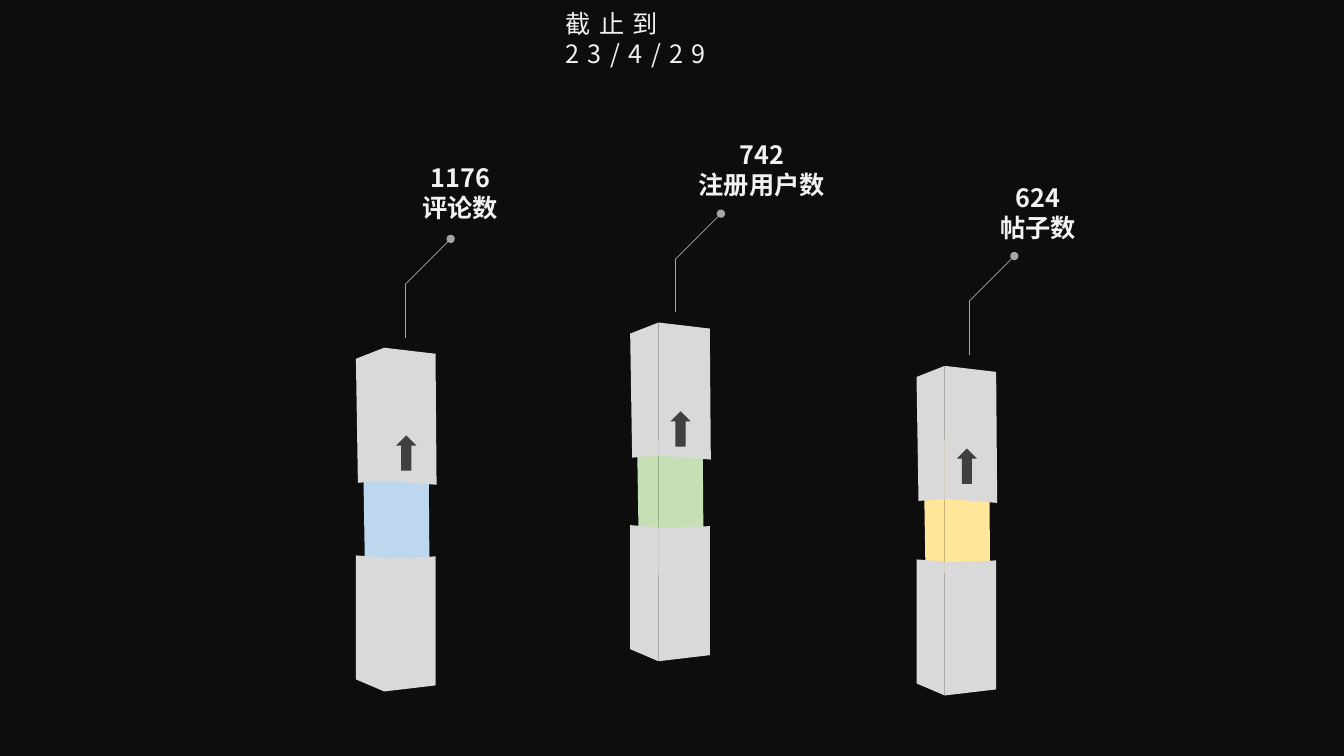
from lxml import etree
from pptx import Presentation
from pptx.dml.color import RGBColor
from pptx.enum.shapes import MSO_CONNECTOR, MSO_SHAPE
from pptx.enum.text import MSO_ANCHOR, MSO_AUTO_SIZE, PP_ALIGN
from pptx.oxml.ns import qn
from pptx.util import Inches, Pt

STRAIGHT = MSO_CONNECTOR.STRAIGHT
UP_ARROW = MSO_SHAPE.UP_ARROW
TOP = MSO_ANCHOR.TOP
NO_AUTOFIT = MSO_AUTO_SIZE.NONE
LEFT, CENTER = PP_ALIGN.LEFT, PP_ALIGN.CENTER

FONT = "Noto Sans CJK SC"
COLORS = {
    "background": "0D0D0D",
    "text": "F2F2F2",
    "block": "D9D9D9",
    "arrow": "404040",
    "leader": "A5A5A5",
    "blue": "BDD7EE",
    "green": "C5E0B4",
    "yellow": "FFE699",
}

CORE = [
    [(-0.21, 0.11), (0, 0), (0, 1.33), (-0.19, 1.34)],
    [(0, 0), (0.44, 0.06), (0.45, 1.36), (0, 1.33)],
]
CAP = [
    [(-0.28, 0.11), (0, 0), (0, 1.32), (-0.26, 1.34)],
    [(0, 0), (0.51, 0.06), (0.52, 1.36), (0, 1.32)],
]
BASE = [
    [(-0.28, 1.23), (0, 1.35), (0, 0.02), (-0.28, 0)],
    [(0, 1.35), (0.51, 1.29), (0.51, 0.01), (0, 0.03)],
]

PILLARS = [
    dict(value="1176", name="评论数", color="blue", edge=3.81, cap=3.45, core=4.32,
         base=5.51, arrow=4.32, dot=(4.47, 2.37), label=(3.6, 1.56)),
    dict(value="742", name="注册用户数", color="green", edge=6.53, cap=3.2, core=4.37,
         base=5.21, arrow=4.08, dot=(7.15, 2.12), label=(6.59, 1.33)),
    dict(value="624", name="帖子数", color="yellow", edge=9.37, cap=3.63, core=4.36,
         base=5.55, arrow=4.45, dot=(10.06, 2.54), label=(9.33, 1.76)),
]


def rgb(name):
    return RGBColor.from_string(COLORS[name])


def paint(sp, color):
    sp.shadow.inherit = False
    sp.fill.solid()
    sp.fill.fore_color.rgb = rgb(color)
    sp.line.fill.background()


def add_block(s, faces, x, y, color):
    for face in faces:
        points = [(Inches(x + dx), Inches(y + dy)) for dx, dy in face]
        builder = s.shapes.build_freeform(*points[0])
        builder.add_line_segments(points[1:], close=True)
        paint(builder.convert_to_shape(), color)


def add_arrow(s, x, y):
    paint(s.shapes.add_shape(UP_ARROW, Inches(x), Inches(y), Inches(0.2), Inches(0.35)), "arrow")


def add_line(s, start, end, dotted=False):
    line = s.shapes.add_connector(STRAIGHT, *(Inches(v) for v in start + end))
    line.line.color.rgb = rgb("leader")
    line.line.width = Pt(0.5)
    if dotted:
        etree.SubElement(line.line._get_or_add_ln(), qn("a:headEnd"), type="oval")
    etree.SubElement(line._element.spPr, qn("a:effectLst"))


def add_leader(s, dot):
    x, y = dot
    bend = (x - 0.45, y + 0.45)
    add_line(s, dot, bend, dotted=True)
    add_line(s, bend, (bend[0], bend[1] + 0.53))


def format_paragraph(p, align, bold=False, spacing=0):
    p.alignment = align
    p.font.name = FONT
    p.font.size = Pt(18)
    p.font.bold = bold
    p.font.color.rgb = rgb("text")
    props = p._p.pPr.find(qn("a:defRPr"))
    etree.SubElement(props, qn("a:ea"), typeface=FONT)
    if spacing:
        props.set("spc", str(spacing * 100))


def add_label(s, x, y, lines):
    tf = s.shapes.add_textbox(Inches(x), Inches(y), Inches(1.93), Inches(0.71)).text_frame
    tf.word_wrap = True
    tf.text = "\n".join(lines)
    for p in tf.paragraphs:
        format_paragraph(p, CENTER, bold=True)


def set_title(s, text):
    title = s.shapes.title
    title.left, title.top = Inches(5.51), Inches(0.03)
    title.width, title.height = Inches(2.39), Inches(0.7)
    tf = title.text_frame
    tf.word_wrap = True
    tf.auto_size = NO_AUTOFIT
    tf.vertical_anchor = TOP
    tf.text = text
    format_paragraph(tf.paragraphs[0], LEFT, spacing=6)


def add_pillar(s, pillar):
    edge = pillar["edge"]
    add_block(s, CORE, edge, pillar["core"], pillar["color"])
    add_block(s, CAP, edge, pillar["cap"], "block")
    add_block(s, BASE, edge, pillar["base"], "block")
    add_arrow(s, edge + 0.12, pillar["arrow"])
    add_leader(s, pillar["dot"])
    add_label(s, *pillar["label"], [pillar["value"], pillar["name"]])


def main():
    prs = Presentation()
    prs.slide_width, prs.slide_height = Inches(13.33), Inches(7.5)
    s = prs.slides.add_slide(prs.slide_layouts[5])
    s.background.fill.solid()
    s.background.fill.fore_color.rgb = rgb("background")
    set_title(s, "截止到23/4/29")
    for pillar in PILLARS:
        add_pillar(s, pillar)
    prs.save("out.pptx")


if __name__ == "__main__":
    main()
